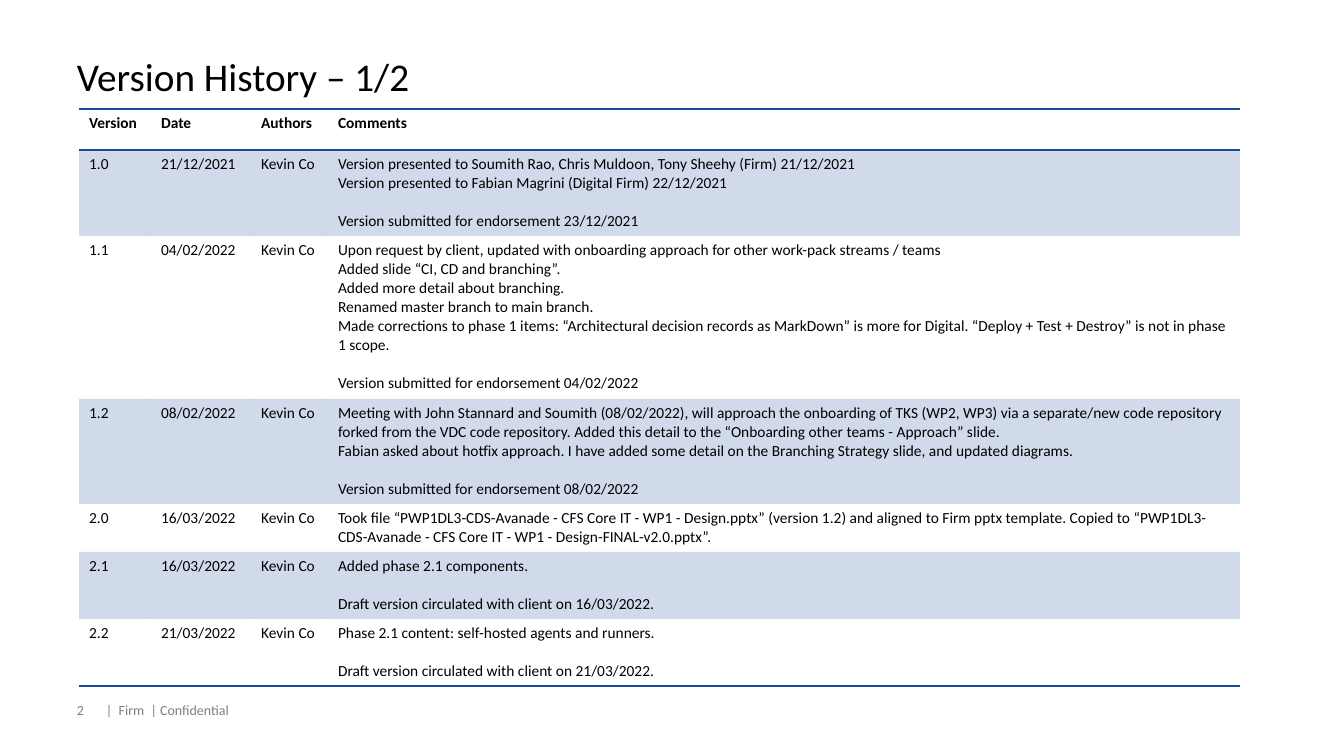
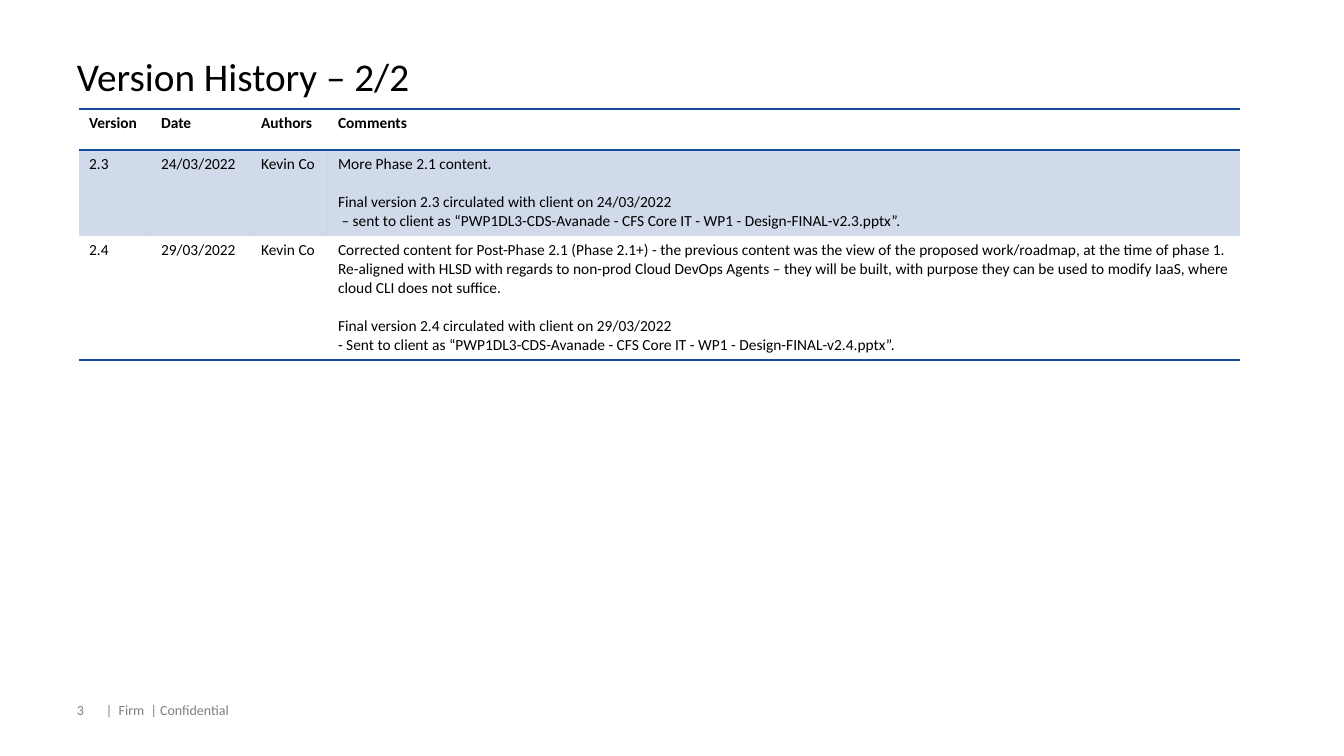
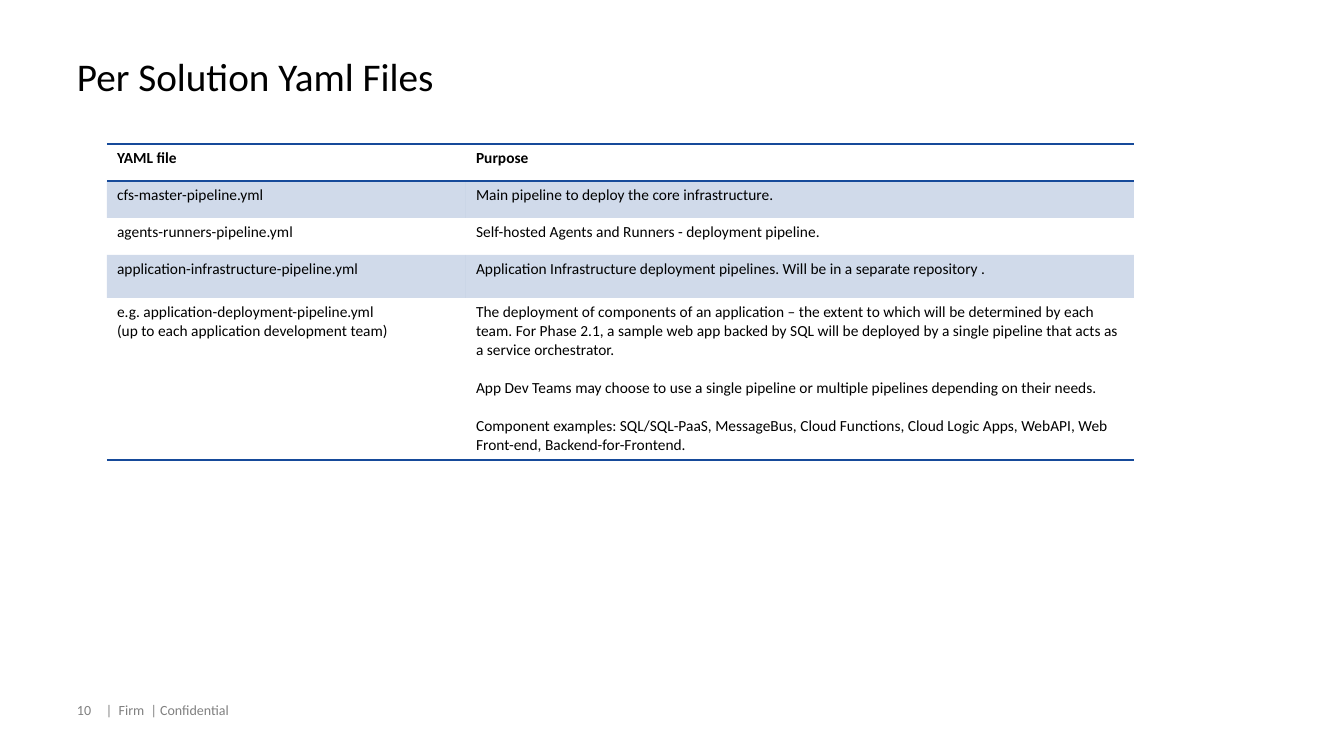
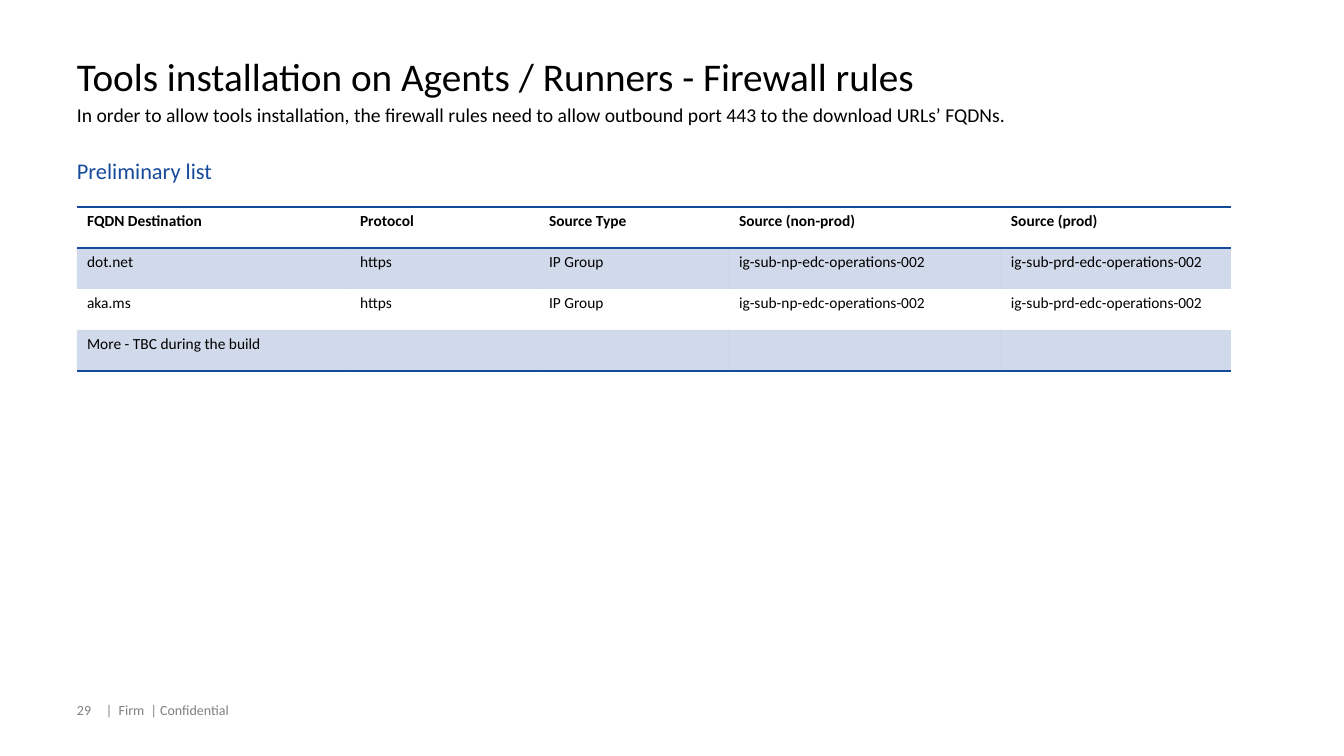
from lxml.etree import SubElement
from pptx import Presentation
from pptx.dml.color import RGBColor
from pptx.enum.text import MSO_ANCHOR
from pptx.oxml.ns import qn
from pptx.util import Pt

FONT = "Calibri"
COLORS = {"text": "000000", "accent": "164A9A", "muted": "808080"}
BAND_OPACITY = 20
PLAIN_TABLE_STYLE = "{2D5ABB26-0587-4C30-8999-92F81FD0307C}"
CELL_SIZE = 11
BLOCK_GAP = Pt(13.4)
LEFT, TEXT_WIDTH = 77, 1190
FOOTER = "|  Firm  | Confidential"

HISTORY_HEADER = ("Version", "Date", "Authors", "Comments")
HISTORY_COLUMNS = (72, 100, 77, 912)

# In a cell, "\n" starts a paragraph and "\n\n" starts a spaced block.
SLIDES = [
    {
        "number": 2,
        "title": "Version History – 1/2",
        "at": (79, 109),
        "columns": HISTORY_COLUMNS,
        "heights": (41, 86, 163, 105, 48, 67, 67),
        "rows": [
            HISTORY_HEADER,
            ("1.0", "21/12/2021", "Kevin Co",
             "Version presented to Soumith Rao, Chris Muldoon, Tony Sheehy (Firm) 21/12/2021\n"
             "Version presented to Fabian Magrini (Digital Firm) 22/12/2021\n\n"
             "Version submitted for endorsement 23/12/2021"),
            ("1.1", "04/02/2022", "Kevin Co",
             "Upon request by client, updated with onboarding approach for other "
             "work-pack streams / teams\n"
             "Added slide “CI, CD and branching”.\n"
             "Added more detail about branching.\n"
             "Renamed master branch to main branch.\n"
             "Made corrections to phase 1 items: “Architectural decision records as MarkDown” "
             "is more for Digital. “Deploy + Test + Destroy” is not in phase 1 scope.\n\n"
             "Version submitted for endorsement 04/02/2022"),
            ("1.2", "08/02/2022", "Kevin Co",
             "Meeting with John Stannard and Soumith (08/02/2022), will approach the onboarding "
             "of TKS (WP2, WP3) via a separate/new code repository forked from the VDC code "
             "repository. Added this detail to the “Onboarding other teams - Approach” slide.\n"
             "Fabian asked about hotfix approach. I have added some detail on the Branching "
             "Strategy slide, and updated diagrams.\n\n"
             "Version submitted for endorsement 08/02/2022"),
            ("2.0", "16/03/2022", "Kevin Co",
             "Took file “PWP1DL3-CDS-Avanade - CFS Core IT - WP1 - Design.pptx” (version 1.2) "
             "and aligned to Firm pptx template. Copied to “PWP1DL3-CDS-Avanade - CFS Core IT "
             "- WP1 - Design-FINAL-v2.0.pptx”."),
            ("2.1", "16/03/2022", "Kevin Co",
             "Added phase 2.1 components.\n\n"
             "Draft version circulated with client on 16/03/2022."),
            ("2.2", "21/03/2022", "Kevin Co",
             "Phase 2.1 content: self-hosted agents and runners.\n\n"
             "Draft version circulated with client on 21/03/2022."),
        ],
    },
    {
        "number": 3,
        "title": "Version History – 2/2",
        "at": (79, 109),
        "columns": HISTORY_COLUMNS,
        "heights": (41, 86, 124),
        "rows": [
            HISTORY_HEADER,
            ("2.3", "24/03/2022", "Kevin Co",
             "More Phase 2.1 content.\n\n"
             "Final version 2.3 circulated with client on 24/03/2022\n"
             " – sent to client as “PWP1DL3-CDS-Avanade - CFS Core IT - WP1 - "
             "Design-FINAL-v2.3.pptx”."),
            ("2.4", "29/03/2022", "Kevin Co",
             "Corrected content for Post-Phase 2.1 (Phase 2.1+) - the previous content was the "
             "view of the proposed work/roadmap, at the time of phase 1.\n"
             "Re-aligned with HLSD with regards to non-prod Cloud DevOps Agents – they will be "
             "built, with purpose they can be used to modify IaaS, where cloud CLI does not "
             "suffice.\n\n"
             "Final version 2.4 circulated with client on 29/03/2022\n"
             "- Sent to client as “PWP1DL3-CDS-Avanade - CFS Core IT - WP1 - "
             "Design-FINAL-v2.4.pptx”."),
        ],
    },
    {
        "number": 10,
        "title": "Per Solution Yaml Files",
        "at": (107, 144),
        "columns": (359, 668),
        "heights": (37, 37, 37, 43, 162),
        "rows": [
            ("YAML file", "Purpose"),
            ("cfs-master-pipeline.yml", "Main pipeline to deploy the core infrastructure."),
            ("agents-runners-pipeline.yml",
             "Self-hosted Agents and Runners - deployment pipeline."),
            ("application-infrastructure-pipeline.yml",
             "Application Infrastructure deployment pipelines. "
             "Will be in a separate repository ."),
            ("e.g. application-deployment-pipeline.yml\n"
             "(up to each application development team)",
             "The deployment of components of an application – the extent to which will be "
             "determined by each team. For Phase 2.1, a sample web app backed by SQL will be "
             "deployed by a single pipeline that acts as a service orchestrator.\n\n"
             "App Dev Teams may choose to use a single pipeline or multiple pipelines "
             "depending on their needs.\n\n"
             "Component examples: SQL/SQL-PaaS, MessageBus, Cloud Functions, Cloud Logic Apps, "
             "WebAPI, Web Front-end, Backend-for-Frontend."),
        ],
    },
    {
        "number": 29,
        "title": "Tools installation on Agents / Runners - Firewall rules",
        "subtitle": "In order to allow tools installation, the firewall rules need to allow "
                    "outbound port 443 to the download URLs’ FQDNs.",
        "heading": "Preliminary list",
        "at": (77, 207),
        "columns": (273, 189, 190, 272, 230),
        "heights": (41, 41, 41, 41),
        "rows": [
            ("FQDN Destination", "Protocol", "Source Type", "Source (non-prod)",
             "Source (prod)"),
            ("dot.net", "https", "IP Group", "ig-sub-np-edc-operations-002",
             "ig-sub-prd-edc-operations-002"),
            ("aka.ms", "https", "IP Group", "ig-sub-np-edc-operations-002",
             "ig-sub-prd-edc-operations-002"),
            ("More - TBC during the build", "", "", "", ""),
        ],
    },
]


def px(length):
    """Turn px (100.8 to the inch) into EMU."""
    return round(length * 914400 / 100.8)


def style(font, size, color="text", bold=False):
    font.name = FONT
    font.size = Pt(size)
    font.bold = bold
    font.color.rgb = RGBColor.from_string(COLORS[color])


def add_text(page, text, at, size, color="text", spacing=None, anchor=MSO_ANCHOR.TOP):
    frame = page.shapes.add_textbox(*map(px, at)).text_frame
    frame.word_wrap = True
    frame.vertical_anchor = anchor
    frame.margin_left = frame.margin_right = frame.margin_top = frame.margin_bottom = 0
    frame.text = text
    paragraph = frame.paragraphs[0]
    paragraph.line_spacing = spacing
    style(paragraph.runs[0].font, size, color)


def add_frame(page, number, title):
    """Add the title and footer that every slide carries."""
    add_text(page, title, (LEFT, 60, TEXT_WIDTH, 84), 28, spacing=Pt(28))
    for text, left, width in ((str(number), LEFT, 30), (FOOTER, 106, 153)):
        add_text(page, text, (left, 678, width, 40), 10, "muted", anchor=MSO_ANCHOR.BOTTOM)


def set_border(cell, side):
    line = SubElement(cell._tc.get_or_add_tcPr(), qn(f"a:ln{side}"), w=str(Pt(1)))
    fill = SubElement(line, qn("a:solidFill"))
    SubElement(fill, qn("a:srgbClr"), val=COLORS["accent"])


def set_band(cell):
    """Fill the cell with a see-through accent."""
    cell.fill.solid()
    cell.fill.fore_color.rgb = RGBColor.from_string(COLORS["accent"])
    color = cell._tc.tcPr.find(f"{qn('a:solidFill')}/{qn('a:srgbClr')}")
    SubElement(color, qn("a:alpha"), val=str(BAND_OPACITY * 1000))


def fill_text(cell, text, bold):
    blocks = [block.split("\n") for block in text.split("\n\n")]
    starts = [index == 0 for block in blocks for index in range(len(block))]
    frame = cell.text_frame
    frame.text = "\n".join(line for block in blocks for line in block)
    for index, (paragraph, starts_block) in enumerate(zip(frame.paragraphs, starts)):
        if index and starts_block:
            paragraph.space_before = BLOCK_GAP
        style(paragraph.font, CELL_SIZE, bold=bold)
        for span in paragraph.runs:
            style(span.font, CELL_SIZE, bold=bold)


def add_ruled_table(page, at, columns, heights, rows):
    size = (sum(columns), sum(heights))
    table = page.shapes.add_table(len(rows), len(columns), *map(px, at + size)).table
    table._tbl.tblPr.find(qn("a:tableStyleId")).text = PLAIN_TABLE_STYLE
    for column, width in zip(table.columns, columns):
        column.width = px(width)
    for row_index, (row, height, texts) in enumerate(zip(table.rows, heights, rows)):
        row.height = px(height)
        for cell, text in zip(row.cells, texts):
            fill_text(cell, text, bold=row_index == 0)
            if row_index == 0:
                set_border(cell, "T")
            if row_index in (0, len(rows) - 1):
                set_border(cell, "B")
            if row_index % 2:
                set_band(cell)
            else:
                cell.fill.background()


def main():
    deck = Presentation()
    deck.slide_width, deck.slide_height = px(1344), px(756)
    for content in SLIDES:
        page = deck.slides.add_slide(deck.slide_layouts[6])
        add_frame(page, content["number"], content["title"])
        if "subtitle" in content:
            add_text(page, content["subtitle"], (LEFT, 106, TEXT_WIDTH, 50), 14, spacing=0.9)
        if "heading" in content:
            add_text(page, content["heading"], (LEFT, 157, TEXT_WIDTH, 27), 16, "accent")
        add_ruled_table(page, content["at"], content["columns"], content["heights"],
                        content["rows"])
    deck.save("out.pptx")


if __name__ == "__main__":
    main()
